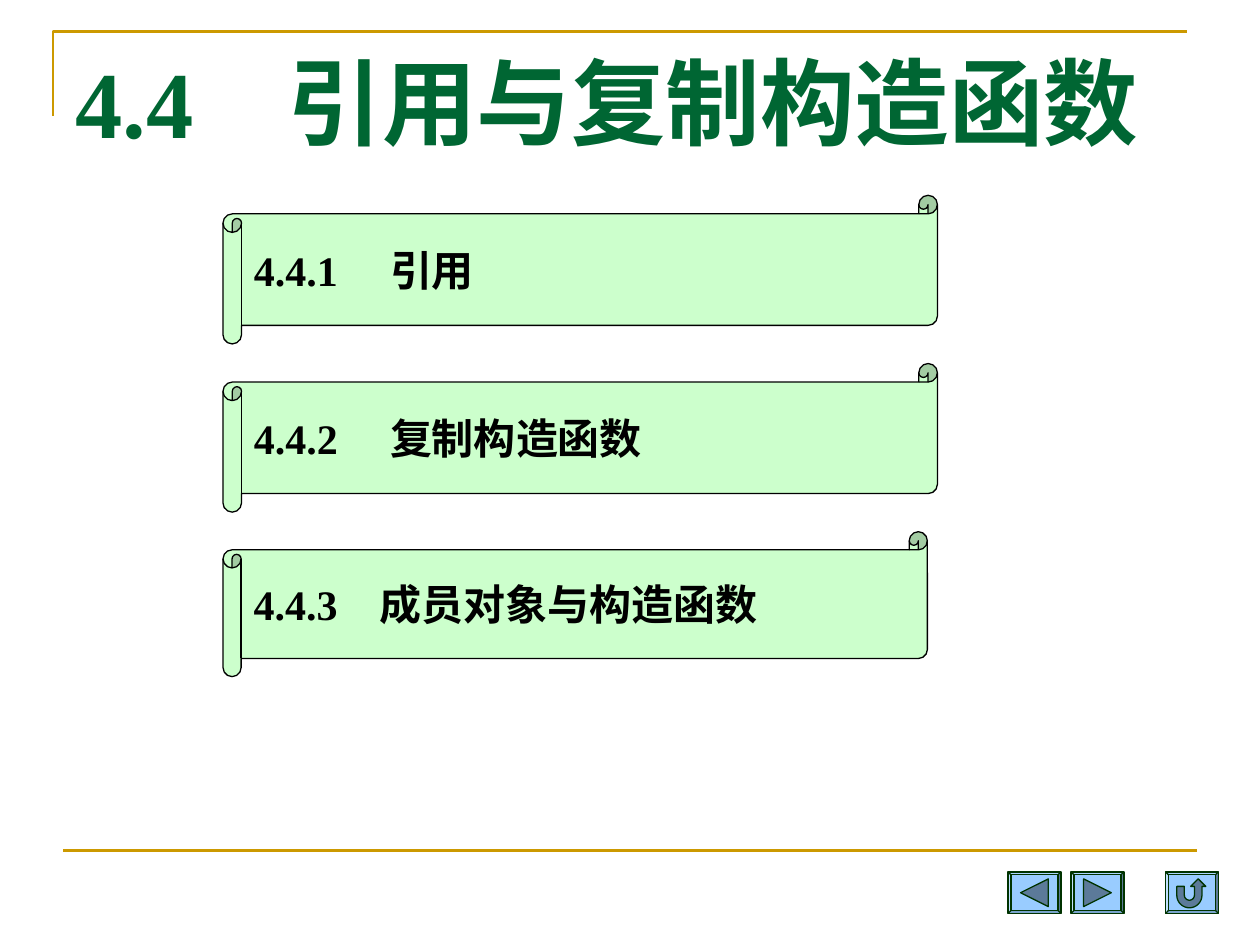
import math
from dataclasses import dataclass

from lxml import etree
from pptx import Presentation
from pptx.dml.color import RGBColor
from pptx.enum.lang import MSO_LANGUAGE_ID
from pptx.enum.shapes import MSO_CONNECTOR, MSO_SHAPE
from pptx.enum.text import MSO_ANCHOR, PP_ALIGN
from pptx.oxml.ns import qn
from pptx.util import Inches, Pt

SCROLL = MSO_SHAPE.HORIZONTAL_SCROLL
BEVEL = MSO_SHAPE.BEVEL
STRAIGHT = MSO_CONNECTOR.STRAIGHT
LEFT = PP_ALIGN.LEFT
TOP, MIDDLE = MSO_ANCHOR.TOP, MSO_ANCHOR.MIDDLE
CHINESE = MSO_LANGUAGE_ID.SIMPLIFIED_CHINESE


@dataclass(frozen=True)
class Theme:
    font: str = "Times New Roman"
    rule: str = "CC9900"
    title: str = "006633"
    text: str = "000000"
    scroll: str = "CCFFCC"
    button: str = "99CCFF"
    icon: str = "5C7A99"
    button_line: str = "003300"
    title_size: int = 54
    item_size: int = 24
    rule_width: float = 1.5
    outline_width: float = 0.75


THEME = Theme()


def style_shape(shape, fill, line, width=THEME.outline_width):
    shape.shadow.inherit = False
    if fill:
        shape.fill.solid()
        shape.fill.fore_color.rgb = RGBColor.from_string(fill)
    else:
        shape.fill.background()
    shape.line.color.rgb = RGBColor.from_string(line)
    shape.line.width = Pt(width)


def write_text(shape, text, size, color, anchor):
    frame = shape.text_frame
    frame.word_wrap = True
    frame.vertical_anchor = anchor
    paragraph = frame.paragraphs[0]
    paragraph.alignment = LEFT
    run = paragraph.add_run()
    run.text = text
    run.font.color.rgb = RGBColor.from_string(color)
    formats = {"name": THEME.font, "size": Pt(size), "bold": True,
               "language_id": CHINESE}
    for name, value in formats.items():
        setattr(run.font, name, value)
    return paragraph


def add_tab_stop(paragraph, position):
    tabs = etree.SubElement(paragraph._p.get_or_add_pPr(), qn("a:tabLst"))
    etree.SubElement(tabs, qn("a:tab"), pos=str(Inches(position)), algn="l")


def add_outline(slide, points, closed):
    """Draw a freeform through points given in inches."""
    points = [(Inches(x), Inches(y)) for x, y in points]
    builder = slide.shapes.build_freeform(*points[0])
    builder.add_line_segments(points[1:], close=closed)
    return builder.convert_to_shape()


def add_frame(slide, left, top, width, bottom):
    """Draw the corner rule around the title and the rule above the footer."""
    corner = [(left, top + 0.67), (left, top), (left + width, top)]
    style_shape(add_outline(slide, corner, False), None, THEME.rule, THEME.rule_width)

    footer_left = left + 0.08
    footer = slide.shapes.add_connector(
        STRAIGHT, Inches(footer_left), Inches(bottom),
        Inches(footer_left + width), Inches(bottom))
    footer.line.color.rgb = RGBColor.from_string(THEME.rule)
    footer.line.width = Pt(THEME.rule_width)
    etree.SubElement(footer._element.spPr, qn("a:effectLst"))


def add_title(slide, left, top, width, height, text):
    box = slide.shapes.add_textbox(*map(Inches, (left, top, width, height)))
    write_text(box, text, THEME.title_size, THEME.title, TOP)


def add_section(slide, left, top, width, height, text, tab):
    scroll = slide.shapes.add_shape(SCROLL, *map(Inches, (left, top, width, height)))
    style_shape(scroll, THEME.scroll, THEME.text)
    paragraph = write_text(scroll, text, THEME.item_size, THEME.text, MIDDLE)
    add_tab_stop(paragraph, tab)


def half_ring(radius, start, end, steps=16):
    """Points of a lower half circle around the origin, in degrees."""
    angles = (math.radians(start + (end - start) * i / steps) for i in range(steps + 1))
    return [(radius * math.cos(a), radius * math.sin(a)) for a in angles]


def return_arrow():
    """Outline of a U-turn arrow around the button centre."""
    bend_x, bend_y = -0.02, 0.02
    outer = [(x + bend_x, y + bend_y) for x, y in half_ring(0.1, 0, 180)]
    inner = [(x + bend_x, y + bend_y) for x, y in half_ring(0.04, 180, 0)]
    head = [(0.02, -0.05), (-0.01, -0.05), (0.05, -0.11), (0.11, -0.05), (0.08, -0.05)]
    return outer + [(-0.12, -0.05), (-0.06, -0.05)] + inner + head


def add_button(slide, left, top, width, height, icon):
    button = slide.shapes.add_shape(BEVEL, *map(Inches, (left, top, width, height)))
    button.adjustments[0] = 0.07
    style_shape(button, THEME.button, THEME.button_line)
    center_x, center_y = left + width / 2, top + height / 2
    points = [(center_x + x, center_y + y) for x, y in icon]
    style_shape(add_outline(slide, points, True), THEME.icon, THEME.button_line)


def build_slide(presentation):
    slide = presentation.slides.add_slide(presentation.slide_layouts[6])
    add_frame(slide, 0.42, 0.25, 9, 6.75)
    add_title(slide, 0.5, 0.3, 9, 1.25, "4.4　引用与复制构造函数")

    sections = [
        ("4.4.1\t引用", 5.67, 1.18, 1.08),
        ("4.4.2\t复制构造函数", 5.67, 1.18, 1.08),
        ("4.4.3\t成员对象与构造函数", 5.59, 1.15, 1),
    ]
    for row, (text, width, height, tab) in enumerate(sections):
        add_section(slide, 1.77, 1.55 + row * 1.335, width, height, text, tab)

    forward = [(-0.11, -0.11), (0.11, 0), (-0.11, 0.11)]
    back = [(-x, y) for x, y in forward]
    for left, icon in [(8, back), (8.5, forward), (9.25, return_arrow())]:
        add_button(slide, left, 6.92, 0.42, 0.33, icon)


def main():
    presentation = Presentation()
    presentation.slide_width = Inches(10)
    presentation.slide_height = Inches(7.5)
    build_slide(presentation)
    presentation.save("out.pptx")


if __name__ == "__main__":
    main()
